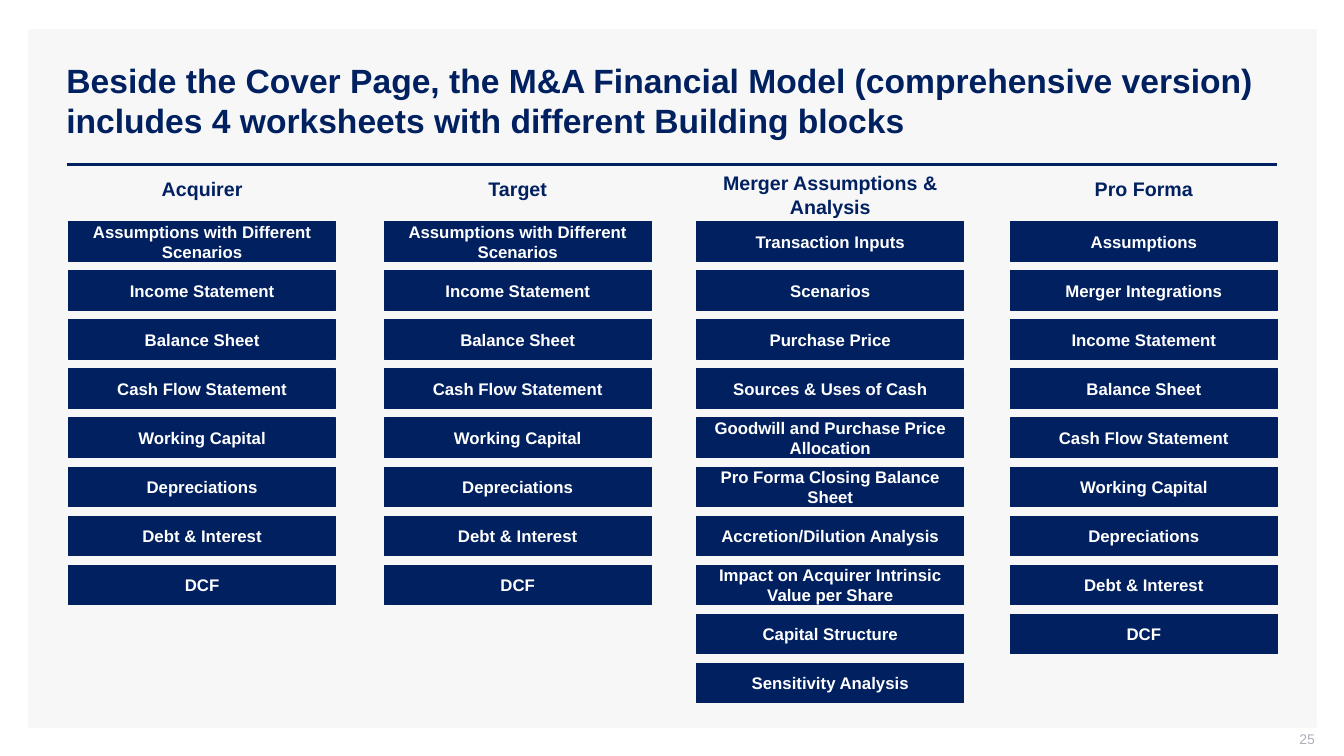
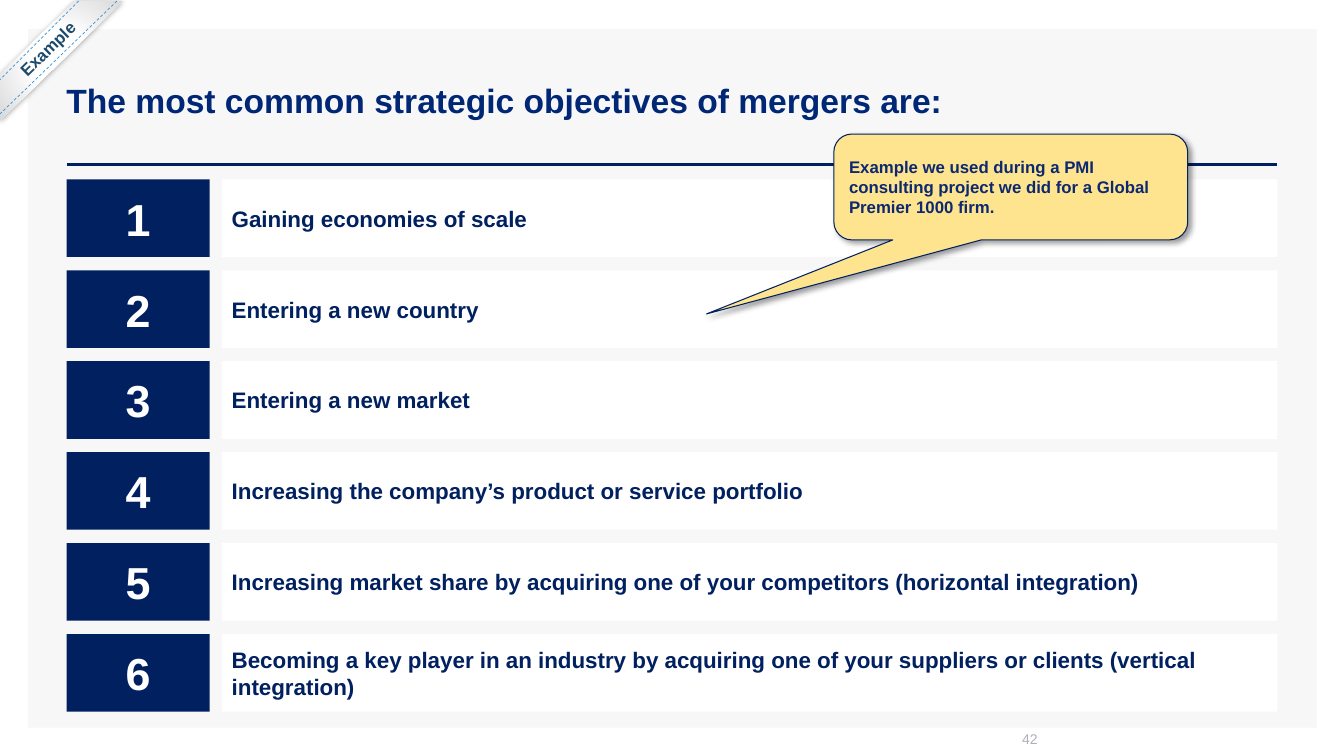
from lxml.etree import SubElement as Sub
from pptx import Presentation
from pptx.dml.color import RGBColor
from pptx.enum.dml import MSO_LINE
from pptx.enum.shapes import MSO_CONNECTOR as Link, MSO_SHAPE as Kind
from pptx.enum.text import MSO_ANCHOR as Anchor, PP_ALIGN as Align
from pptx.oxml.ns import qn
from pptx.util import Inches, Pt

# Shared look
WIDE, HIGH = 13.33, 7.5
FONT = "Arial"
NAVY, WHITE, PANEL, GREY = "002060", "FFFFFF", "F7F7F7", "ADAFBB"
LEFT, RIGHT, RULE = 0.66, 12.67, 1.63

# Slide 1 grid
COL_W, BOX_H, BOX_TOP, BOX_END, BOX_ROWS = 2.65, 0.39, 2.2, 6.97, 10
BOX_STEP = (BOX_END - BOX_H - BOX_TOP) / (BOX_ROWS - 1)

# Slide 2 grid
NUM_W, ROW_H, ROW_TOP, ROW_END, GAP = 1.42, 0.77, 1.78, 7.06, 0.12

SHEET = ["Income Statement", "Balance Sheet", "Cash Flow Statement",
         "Working Capital", "Depreciations", "Debt & Interest", "DCF"]
FIRM = ["Assumptions with Different Scenarios"] + SHEET
BLOCKS = [  # column left, head top, head, boxes
    (0.68, 1.71, "Acquirer", FIRM),
    (3.81, 1.71, "Target", FIRM),
    (6.91, 1.65, "Merger Assumptions & Analysis", [
        "Transaction Inputs", "Scenarios", "Purchase Price",
        "Sources & Uses of Cash", "Goodwill and Purchase Price Allocation",
        "Pro Forma Closing Balance Sheet", "Accretion/Dilution Analysis",
        "Impact on Acquirer Intrinsic Value per Share",
        "Capital Structure", "Sensitivity Analysis"]),
    (10.02, 1.71, "Pro Forma", ["Assumptions", "Merger Integrations"] + SHEET),
]
GOALS = [
    "Gaining economies of scale",
    "Entering a new country",
    "Entering a new market",
    "Increasing the company’s product or service portfolio",
    "Increasing market share by acquiring one of your competitors "
    "(horizontal integration)",
    "Becoming a key player in an industry by acquiring one of your suppliers "
    "or clients (vertical integration)",
]


def tint(code):
    return RGBColor.from_string(code)


def place(*box):
    return [Inches(v) for v in box]


def write(shape, text, size, color, align=Align.LEFT, bold=True,
          anchor=Anchor.MIDDLE, wrap=True):
    frame = shape.text_frame
    frame.word_wrap = wrap
    frame.vertical_anchor = anchor
    para = frame.paragraphs[0]
    para.text = text
    para.alignment = align
    font = para.font
    font.name, font.size, font.bold = FONT, Pt(size), bold
    font.color.rgb = tint(color)
    return frame


def label(shapes, box, text, size, color, **style):
    shape = shapes.add_textbox(*place(*box))
    write(shape, text, size, color, **style)
    return shape


def block(shapes, box, fill=None, line=None, kind=Kind.RECTANGLE):
    shape = shapes.add_shape(kind, *place(*box))
    shape.shadow.inherit = False
    if fill:
        shape.fill.solid()
        shape.fill.fore_color.rgb = tint(fill)
    if line:
        shape.line.color.rgb = tint(line)
        shape.line.width = Pt(0.75)
    else:
        shape.line.fill.background()
    return shape


def rule(shapes, start, end, color, width, dash=None):
    line = shapes.add_connector(Link.STRAIGHT, *place(*start, *end))
    line.line.color.rgb = tint(color)
    line.line.width = Pt(width)
    if dash:
        line.line.dash_style = dash
    Sub(line.element.spPr, qn("a:effectLst"))


def shade(shape, alpha, blur, dist, angle):
    effects = shape.element.spPr.find(qn("a:effectLst"))
    outer = Sub(effects, qn("a:outerShdw"), blurRad=str(Pt(blur)),
                dist=str(Pt(dist)), dir=str(angle * 60000),
                algn="ctr", rotWithShape="0")
    color = Sub(outer, qn("a:srgbClr"), val="000000")
    Sub(color, qn("a:alpha"), val=str(alpha * 1000))


def glow(shape, stops):
    """Fill from the centre outwards."""
    shape.fill.gradient()
    for stop, (spot, color) in zip(shape.fill.gradient_stops, stops):
        stop.position = spot
        stop.color.rgb = tint(color)
    grad = shape.element.spPr.find(qn("a:gradFill"))
    grad.remove(grad.find(qn("a:lin")))
    ring = Sub(grad, qn("a:path"), path="circle")
    Sub(ring, qn("a:fillToRect"), l="50000", t="50000", r="50000", b="50000")


def start(deck, title, page, color=NAVY, align=Align.LEFT):
    """Blank slide with panel, title, rule and page number."""
    shapes = deck.slides.add_slide(deck.slide_layouts[6]).shapes
    block(shapes, (0.28, 0.29, 12.78, 6.93), PANEL)
    rule(shapes, (LEFT, RULE), (RIGHT, RULE), NAVY, 2)
    label(shapes, (0.56, 0.4, 12.11, 1.19), title, 24, color)
    foot = label(shapes, (10.04, 7.25, 3, 0.21), page, 10, GREY,
                 align=align, bold=False).text_frame
    foot.margin_top = foot.margin_right = 0
    return shapes


def column(shapes, left, top, head, names):
    label(shapes, (left, top, COL_W, 0.34), head, 14, NAVY,
          align=Align.CENTER, anchor=Anchor.TOP)
    for i, name in enumerate(names):
        box = block(shapes, (left, BOX_TOP + i * BOX_STEP, COL_W, BOX_H),
                    NAVY, NAVY)
        write(box, name, 12, WHITE, Align.CENTER)


def goals(shapes):
    step = (ROW_END - ROW_H - ROW_TOP) / (len(GOALS) - 1)
    bar = LEFT + NUM_W + GAP
    for i, goal in enumerate(GOALS):
        top = ROW_TOP + i * step
        num = block(shapes, (LEFT, top, NUM_W, ROW_H), NAVY)
        write(num, str(i + 1), 32, WHITE, Align.CENTER)
        row = block(shapes, (bar, top, RIGHT - bar, ROW_H), WHITE)
        write(row, goal, 16, NAVY)


def callout(shapes, text):
    note = block(shapes, (8.27, 1.33, 3.51, 1.05), "FFE48F", NAVY,
                 Kind.ROUNDED_RECTANGULAR_CALLOUT)
    for i, value in enumerate((-0.86, 1.2, 0.17)):
        note.adjustments[i] = value
    shade(note, 40, 4, 3, 45)
    para = write(note, text, 12, "0C2870").paragraphs[0]
    para.space_after = Pt(6)


def ribbon(shapes, text):
    parts = shapes.add_group_shape().shapes
    band = block(parts, (0, 0.01, 1.22, 1.19), kind=Kind.DIAGONAL_STRIPE)
    band.adjustments[0] = 0.61
    glow(band, [(0.34, WHITE), (1, "D9D9D9")])
    shade(band, 35, 4, 1, 90)
    tag = label(parts, (0.03, 0.33, 0.89, 0.3), text, 12, "1D4B6D",
                anchor=Anchor.TOP, wrap=False)
    tag.rotation = 315.8
    for across, down in ((0.78, 0.79), (1.16, 1.13)):
        rule(parts, (across, 0.01), (0, down), "3692D4", 0.5, MSO_LINE.DASH)


def main():
    deck = Presentation()
    deck.slide_width, deck.slide_height = place(WIDE, HIGH)

    # Building blocks by worksheet
    shapes = start(deck, "Beside the Cover Page, the M&A Financial Model "
                   "(comprehensive version) includes 4 worksheets with "
                   "different Building blocks", "25", align=Align.RIGHT)
    for item in BLOCKS:
        column(shapes, *item)

    # Merger objectives
    shapes = start(deck, "The most common strategic objectives of mergers are:",
                   "42", "002776")
    goals(shapes)
    callout(shapes, "Example we used during a PMI consulting project we did "
            "for a Global Premier 1000 firm.")
    ribbon(shapes, "Example")

    deck.save("out.pptx")


if __name__ == "__main__":
    main()
